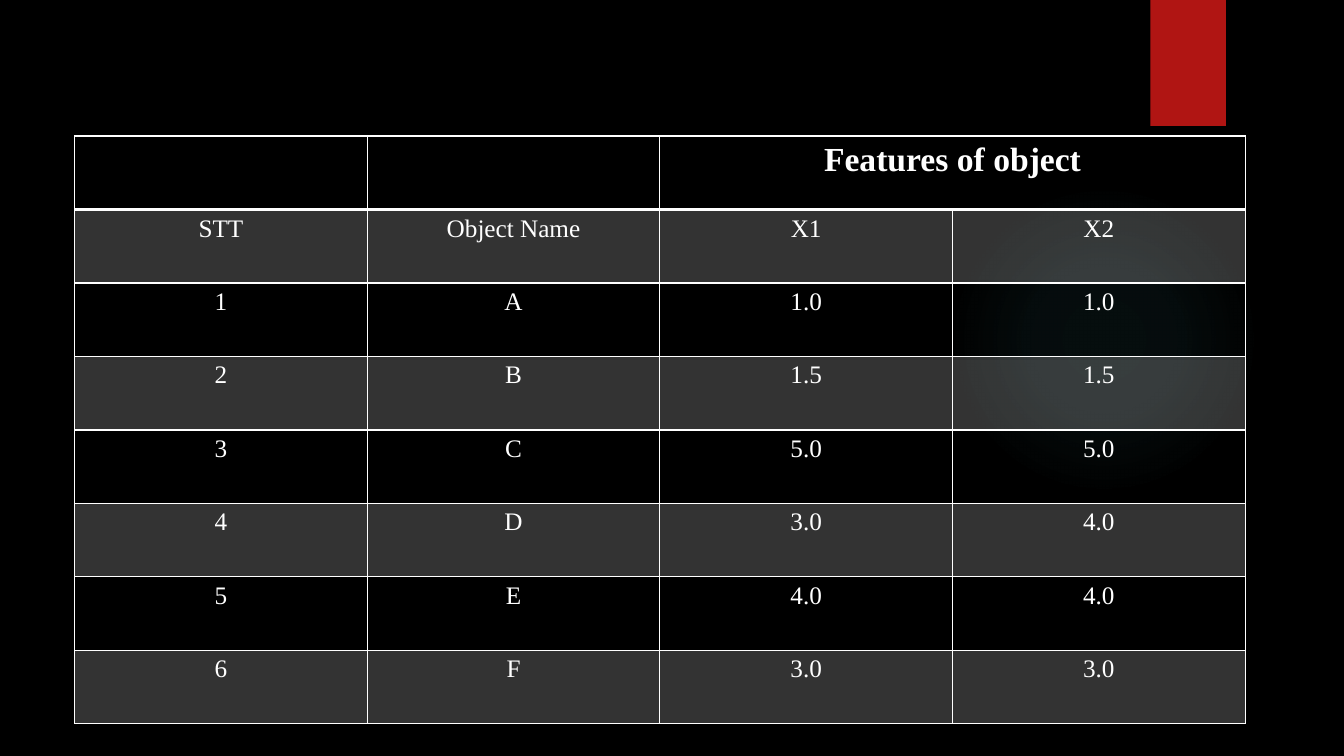
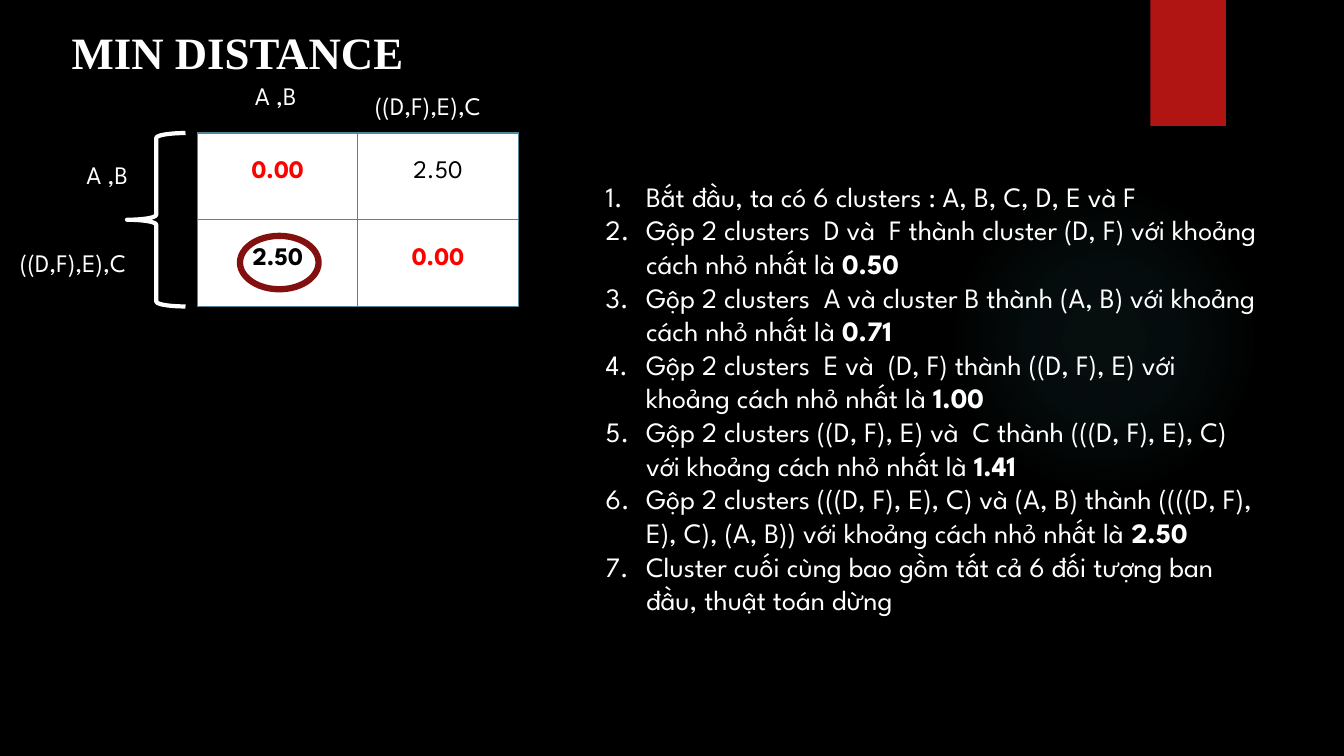
import pptx
import pptx.dml.color
import pptx.enum.shapes
import pptx.enum.text
import pptx.oxml
import pptx.oxml.ns
import pptx.util

Inches = pptx.util.Inches
Pt = pptx.util.Pt
RGB = pptx.dml.color.RGBColor.from_string
qn = pptx.oxml.ns.qn
NS = pptx.oxml.ns.nsdecls("a")
SHAPE = pptx.enum.shapes.MSO_SHAPE
ALIGN = pptx.enum.text.PP_ALIGN


class Theme:
    background = "000000"
    text = "FFFFFF"
    dark_text = "000000"
    accent = "B01513"
    glow = "50B9C1"
    ring = "82100E"
    zero = "FF0000"
    grid = "54849A"
    serif = "Times New Roman"
    sans = "League Spartan"
    title_size = 32
    header_size = 24
    list_size = 20
    body_size = 18


def format_runs(p, size, font, color=Theme.text, bold=False):
    for r in p.runs:
        r.font.size = Pt(size)
        r.font.name = font
        r.font.color.rgb = RGB(color)
        r.font.bold = bold


def set_borders(cell, color, bottom=1):
    tcPr = cell._tc.get_or_add_tcPr()
    for side, width in (("L", 1), ("R", 1), ("T", 1), ("B", bottom)):
        tcPr.append(pptx.oxml.parse_xml(
            f'<a:ln{side} {NS} w="{Pt(width)}"><a:solidFill>'
            f'<a:srgbClr val="{color}"/></a:solidFill></a:ln{side}>'))


prs = pptx.Presentation()
prs.slide_width = Inches(13.33)
prs.slide_height = Inches(7.5)
master = prs.slide_master
master.background.fill.solid()
master.background.fill.fore_color.rgb = RGB(Theme.background)

s = prs.slides.add_slide(prs.slide_layouts[6])

glow = s.shapes.add_shape(SHAPE.OVAL, Inches(9.41), Inches(1.83), Inches(3.08), Inches(3.08))
glow.fill.background()
stops = "".join(
    f'<a:gs pos="{pos * 1000}"><a:srgbClr val="{Theme.glow}">'
    f'<a:alpha val="{alpha * 1000}"/></a:srgbClr></a:gs>'
    for pos, alpha in ((0, 7), (36, 6), (69, 0)))
gradient = pptx.oxml.parse_xml(
    f'<a:gradFill {NS}><a:gsLst>{stops}</a:gsLst><a:path path="circle">'
    '<a:fillToRect l="50000" t="50000" r="50000" b="50000"/></a:path></a:gradFill>')
spPr = glow.element.spPr
spPr.replace(spPr.find(qn("a:noFill")), gradient)

band = s.shapes.add_shape(SHAPE.RECTANGLE, Inches(11.41), 0, Inches(0.75), Inches(1.25))
band.fill.solid()
band.fill.fore_color.rgb = RGB(Theme.accent)

for sp in (glow, band):
    sp.line.fill.background()
    sp.shadow.inherit = False
    master.shapes.element.append(sp.element)

features = [
    ("", "", "Features of object", ""),
    ("STT", "Object Name", "X1", "X2"),
    ("1", "A", "1.0", "1.0"),
    ("2", "B", "1.5", "1.5"),
    ("3", "C", "5.0", "5.0"),
    ("4", "D", "3.0", "4.0"),
    ("5", "E", "4.0", "4.0"),
    ("6", "F", "3.0", "3.0"),
]
table = s.shapes.add_table(
    8, 4, Inches(0.74), Inches(1.35), Inches(11.61), Inches(5.83)).table
table.first_row = table.horz_banding = False
for i, row in enumerate(features):
    for j, text in enumerate(row):
        cell = table.cell(i, j)
        set_borders(cell, Theme.text, 2 if i == 0 else 1)
        if i % 2:
            cell.fill.solid()
            cell.fill.fore_color.rgb = RGB(Theme.text)
            tint = cell._tc.tcPr.find(qn("a:solidFill"))[0]
            tint.append(pptx.oxml.parse_xml(f'<a:alpha {NS} val="20000"/>'))
        else:
            cell.fill.background()
        cell.text_frame.text = text
        p = cell.text_frame.paragraphs[0]
        p.alignment = ALIGN.CENTER
        size = Theme.header_size if i == 0 else Theme.body_size
        format_runs(p, size, Theme.serif, bold=i == 0)
table.cell(0, 2).merge(table.cell(0, 3))

s = prs.slides.add_slide(prs.slide_layouts[5])
title = s.shapes.title
title.left, title.top, title.width, title.height = (
    Inches(0.61), Inches(0.19), Inches(4), Inches(0.64))
tf = title.text_frame
tf.text = "MIN DISTANCE"
tf.vertical_anchor = pptx.enum.text.MSO_ANCHOR.TOP
tf.paragraphs[0].alignment = ALIGN.LEFT
format_runs(tf.paragraphs[0], Theme.title_size, Theme.serif, bold=True)

distances = [("0.00", "2.50"), ("2.50", "0.00")]
table = s.shapes.add_table(
    2, 2, Inches(1.96), Inches(1.32), Inches(3.18), Inches(1.72)).table
table.first_row = table.horz_banding = False
for i, row in enumerate(distances):
    for j, text in enumerate(row):
        cell = table.cell(i, j)
        set_borders(cell, Theme.grid)
        cell.fill.solid()
        cell.fill.fore_color.rgb = RGB(Theme.text)
        cell.text_frame.text = text
        p = cell.text_frame.paragraphs[0]
        p.alignment = ALIGN.CENTER
        p.line_spacing = 2.0
        color = Theme.zero if i == j else Theme.dark_text
        format_runs(p, Theme.body_size, Theme.sans, color, bold=i >= j)

outlines = [
    (SHAPE.LEFT_BRACE, 1.26, 1.32, 0.58, 1.72, Theme.text, 3),
    (SHAPE.OVAL, 2.38, 2.34, 0.78, 0.53, Theme.ring, 4.5),
]
for kind, left, top, width, height, color, weight in outlines:
    sp = s.shapes.add_shape(kind, Inches(left), Inches(top), Inches(width), Inches(height))
    sp.shadow.inherit = False
    sp.fill.background()
    sp.line.color.rgb = RGB(color)
    sp.line.width = Pt(weight)

labels = [
    ("A ,B", 0.76, 1.53),
    ("((D,F),E),C", 0.1, 2.4),
    ("A ,B", 2.43, 0.75),
    ("((D,F),E),C", 3.62, 0.85),
]
for text, left, top in labels:
    tf = s.shapes.add_textbox(Inches(left), Inches(top), Inches(1.43), Inches(0.4)).text_frame
    tf.word_wrap = True
    tf.text = text
    format_runs(tf.paragraphs[0], Theme.body_size, Theme.sans)

steps = [
    ("Bắt đầu, ta có 6 clusters : A, B, C, D, E và F", ""),
    ("Gộp 2 clusters  D và  F thành cluster (D, F) với khoảng cách nhỏ nhất là ", "0.50"),
    ("Gộp 2 clusters  A và cluster B thành (A, B) với khoảng cách nhỏ nhất là ", "0.71"),
    ("Gộp 2 clusters  E và  (D, F) thành ((D, F), E) với khoảng cách nhỏ nhất là ", "1.00"),
    ("Gộp 2 clusters ((D, F), E) và  C thành (((D, F), E), C) với khoảng cách nhỏ nhất là ",
     "1.41"),
    ("Gộp 2 clusters (((D, F), E), C) và (A, B) thành ((((D, F), E), C), (A, B)) "
     "với khoảng cách nhỏ nhất là ", "2.50"),
    ("Cluster cuối cùng bao gồm tất cả 6 đối tượng ban đầu, thuật toán dừng", ""),
]
tf = s.shapes.add_textbox(Inches(5.91), Inches(1.73), Inches(6.67), Inches(4.44)).text_frame
tf.word_wrap = True
tf.text = "\n".join(text for text, distance in steps)
for p, (text, distance) in zip(tf.paragraphs, steps):
    pPr = p._p.get_or_add_pPr()
    pPr.set("marL", str(Inches(0.4)))
    pPr.set("indent", str(-Inches(0.4)))
    pPr.append(pptx.oxml.parse_xml(f'<a:buFont {NS} typeface="{Theme.sans}"/>'))
    pPr.append(pptx.oxml.parse_xml(f'<a:buAutoNum {NS} type="arabicPeriod"/>'))
    format_runs(p, Theme.list_size, Theme.sans)
    if distance:
        r = p.add_run()
        r.text = distance
        format_runs(p, Theme.list_size, Theme.sans)
        r.font.bold = True

prs.save("out.pptx")
